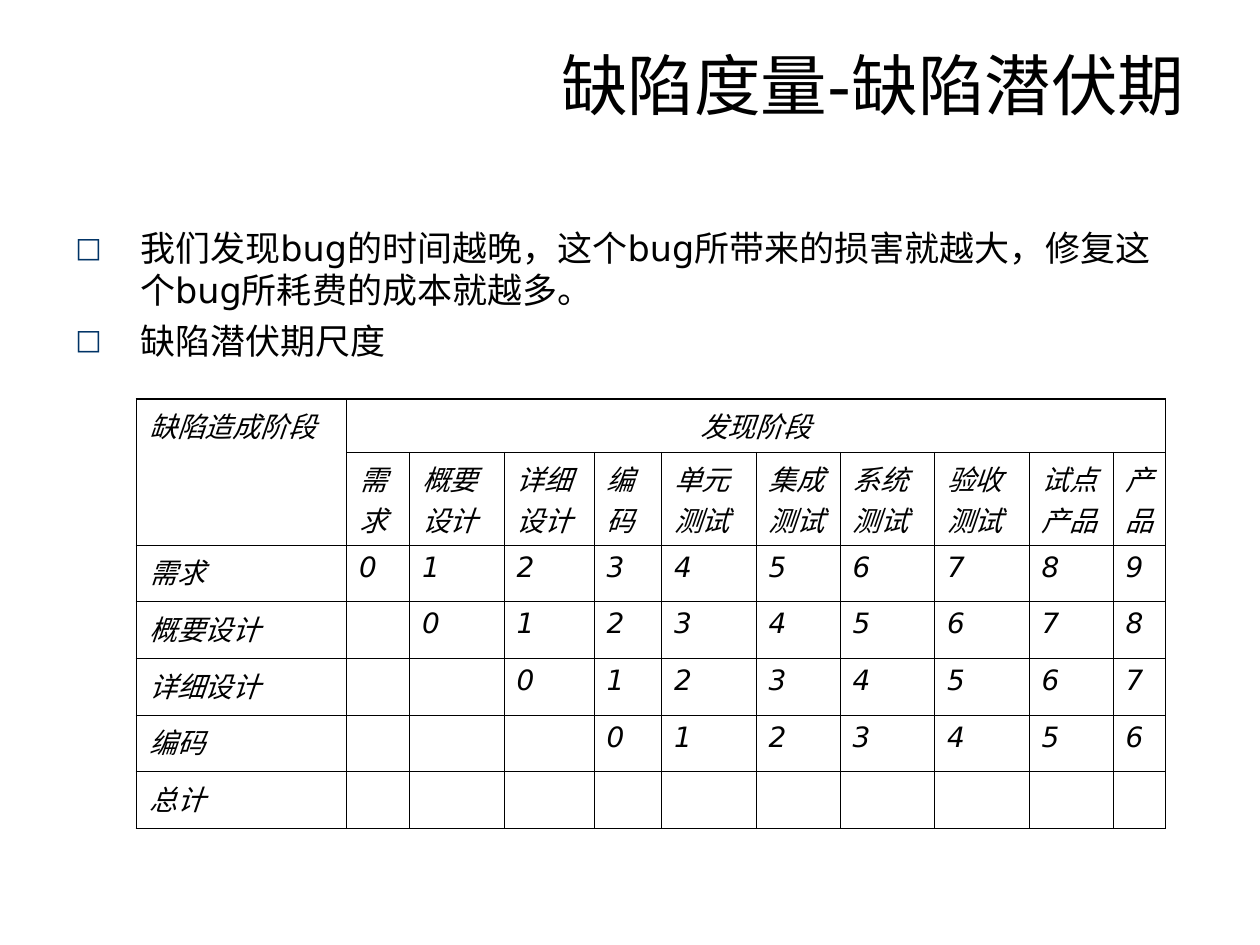
from lxml.etree import SubElement
from pptx import Presentation
from pptx.dml.color import RGBColor
from pptx.enum.text import MSO_ANCHOR, PP_ALIGN
from pptx.oxml.ns import qn
from pptx.util import Pt

FONT = "DejaVu Sans"
COLORS = {"text": "000000", "border": "000000", "bullet": "003366"}
THIN, THICK = 0.45, 1.08
POINTS = [
    "我们发现bug的时间越晚，这个bug所带来的损害就越大，修复这个bug所耗费的成本就越多。",
    "缺陷潜伏期尺度",
]
FOUND = ["需求", "概要设计", "详细设计", "编码", "单元测试", "集成测试",
         "系统测试", "验收测试", "试点产品", "产品"]
CAUSED = FOUND[:4]
COL_WIDTHS = [120, 36, 54, 51.5, 38.5, 54, 48, 54, 54, 48, 30]
ROW_HEIGHTS = [30.5, 53] + [32.4] * 5


def write(p, text, size, align=PP_ALIGN.LEFT, italic=False, before=0):
    """Write one formatted run into a paragraph."""
    p.alignment = align
    p.space_before = Pt(before)
    r = p.add_run()
    r.text = text
    r.font.name = FONT
    r.font.size = Pt(size)
    r.font.italic = italic
    r.font.color.rgb = RGBColor.from_string(COLORS["text"])


def add_bullet(p, indent):
    """Give a paragraph a hanging square bullet."""
    pPr = p._p.get_or_add_pPr()
    pPr.set("marL", str(Pt(indent)))
    pPr.set("indent", str(-Pt(indent)))
    color = SubElement(pPr, qn("a:buClr"))
    SubElement(color, qn("a:srgbClr"), val=COLORS["bullet"])
    SubElement(pPr, qn("a:buSzPct"), val="80000")
    SubElement(pPr, qn("a:buFont"), typeface=FONT)
    SubElement(pPr, qn("a:buChar"), char="□")


def set_borders(cell, widths):
    """Draw the left, right, top and bottom borders of a cell."""
    tcPr = cell._tc.get_or_add_tcPr()
    for side, width in zip("LRTB", widths):
        ln = SubElement(tcPr, qn(f"a:ln{side}"), w=str(Pt(width)))
        fill = SubElement(ln, qn("a:solidFill"))
        SubElement(fill, qn("a:srgbClr"), val=COLORS["border"])


def add_title(s, text):
    """Place and fill the title placeholder."""
    sp = s.shapes.title
    sp.left, sp.top, sp.width, sp.height = Pt(36), Pt(21.6), Pt(648), Pt(90)
    sp.text_frame.vertical_anchor = MSO_ANCHOR.TOP
    write(sp.text_frame.paragraphs[0], text, 38, align=PP_ALIGN.RIGHT)


def add_points(s, points):
    """Add the bulleted text."""
    tf = s.shapes.add_textbox(Pt(36), Pt(126), Pt(648), Pt(356.4)).text_frame
    tf.word_wrap = True
    for i, text in enumerate(points):
        p = tf.add_paragraph() if i else tf.paragraphs[0]
        add_bullet(p, 37)
        write(p, text, 20, before=5 if i else 0)


def latency_rows():
    """Return the table texts, counting phases from cause to discovery."""
    rows = [["缺陷造成阶段", "发现阶段"] + [""] * 9, [""] + FOUND]
    for i, phase in enumerate(CAUSED):
        rows.append([phase] + [str(j - i) if j >= i else "" for j in range(len(FOUND))])
    return rows + [["总计"] + [""] * len(FOUND)]


def add_latency_table(s):
    """Add the defect latency table."""
    rows, cols = len(ROW_HEIGHTS), len(COL_WIDTHS)
    table = s.shapes.add_table(rows, cols, Pt(78), Pt(228), Pt(sum(COL_WIDTHS)),
                               Pt(sum(ROW_HEIGHTS))).table
    table.first_row = table.horz_banding = False
    for column, width in zip(table.columns, COL_WIDTHS):
        column.width = Pt(width)
    for row, height in zip(table.rows, ROW_HEIGHTS):
        row.height = Pt(height)
    table.cell(0, 0).merge(table.cell(1, 0))
    table.cell(0, 1).merge(table.cell(0, cols - 1))
    for i, texts in enumerate(latency_rows()):
        for j, text in enumerate(texts):
            cell = table.cell(i, j)
            if not cell.is_spanned:
                edges = (j == 0, j + cell.span_width == cols,
                         i == 0, i + cell.span_height == rows)
                set_borders(cell, [THICK if edge else THIN for edge in edges])
            cell.fill.background()
            if text:
                align = PP_ALIGN.CENTER if (i, j) == (0, 1) else PP_ALIGN.LEFT
                write(cell.text_frame.paragraphs[0], text, 16, align=align, italic=True)


def main():
    """Build and save the slide."""
    prs = Presentation()
    prs.slide_width, prs.slide_height = Pt(720), Pt(540)
    s = prs.slides.add_slide(prs.slide_layouts[5])
    add_title(s, "缺陷度量-缺陷潜伏期")
    add_points(s, POINTS)
    add_latency_table(s)
    prs.save("out.pptx")


if __name__ == "__main__":
    main()
